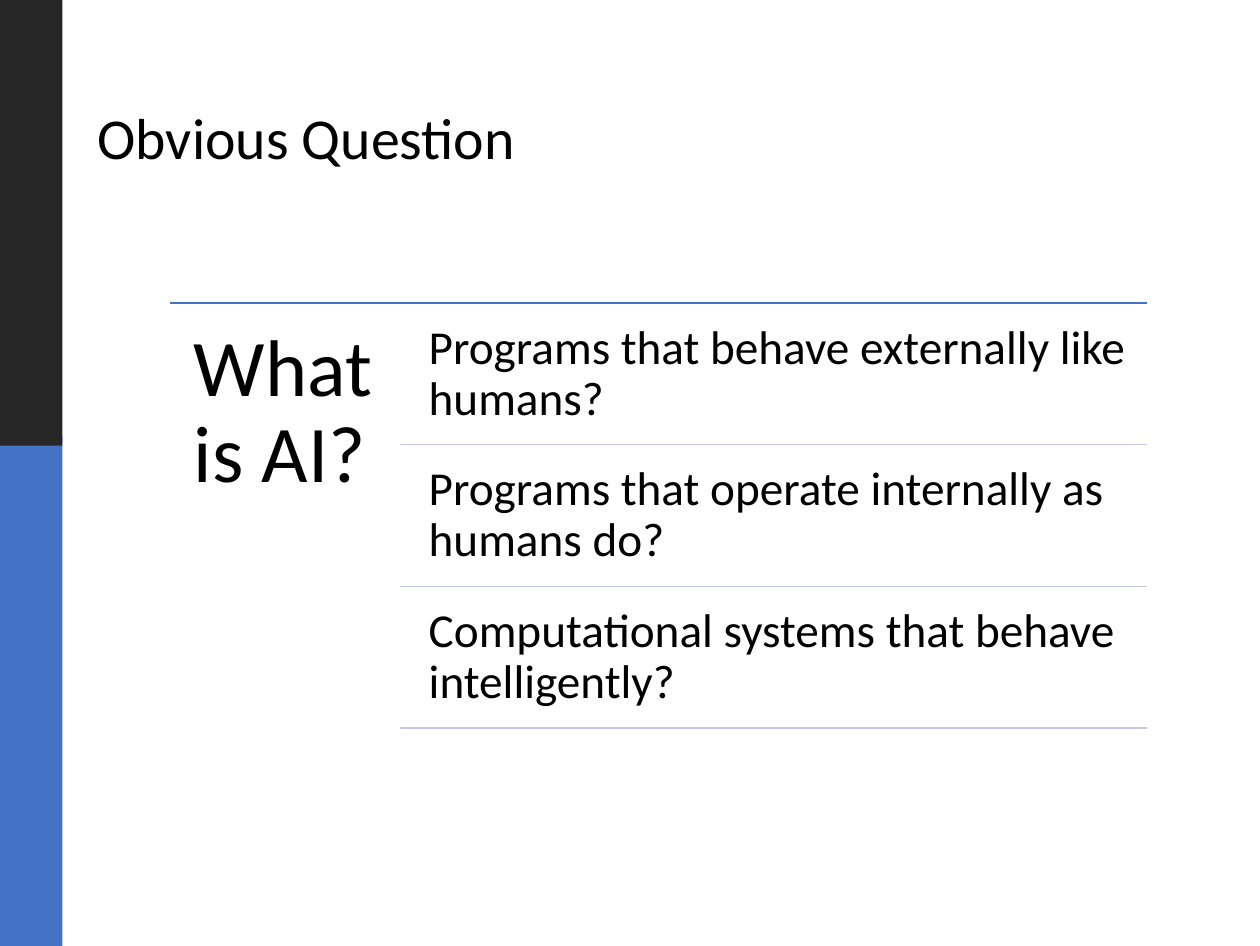
from lxml.etree import SubElement
from pptx import Presentation
from pptx.dml.color import RGBColor
from pptx.enum.shapes import MSO_CONNECTOR, MSO_SHAPE
from pptx.enum.text import MSO_ANCHOR, MSO_AUTO_SIZE, PP_ALIGN
from pptx.oxml.ns import qn
from pptx.util import Inches, Pt

BLUE = RGBColor(0x44, 0x72, 0xC4)
CHARCOAL = RGBColor(0x26, 0x26, 0x26)
PALE_BLUE = RGBColor(0xC1, 0xC9, 0xE4)
BLACK = RGBColor(0, 0, 0)

BAND_WIDTH = 0.55
LIST_LEFT, LIST_RIGHT = 1.5, 10.11
LIST_TOP, LIST_HEIGHT = 2.67, 3.8
ANSWER_LEFT, ANSWER_HEIGHT = 3.66, 1.19
ROW_GAP = 0.06
ROW_PITCH = ANSWER_HEIGHT + ROW_GAP

prs = Presentation()
prs.slide_width, prs.slide_height = Inches(11.11), Inches(8.34)
slide = prs.slides.add_slide(prs.slide_layouts[5])
title = slide.shapes.title


def write(box, left, top, width, height, text, size, inset_x, inset_y, anchor):
    """Place a text-holding shape and fill it with one left-aligned paragraph."""
    box.left, box.top = Inches(left), Inches(top)
    box.width, box.height = Inches(width), Inches(height)
    frame = box.text_frame
    frame.text = text
    frame.word_wrap = True
    frame.auto_size = MSO_AUTO_SIZE.NONE
    frame.vertical_anchor = anchor
    frame.margin_left = frame.margin_right = Inches(inset_x)
    frame.margin_top = frame.margin_bottom = Inches(inset_y)
    paragraph = frame.paragraphs[0]
    paragraph.alignment = PP_ALIGN.LEFT
    paragraph.line_spacing = 0.9
    paragraph.space_before = Pt(0)
    font = paragraph.runs[0].font
    font.name, font.size, font.color.rgb = "Calibri", Pt(size), BLACK


def add_rule(left, y, color):
    rule = slide.shapes.add_connector(
        MSO_CONNECTOR.STRAIGHT, Inches(left), Inches(y), Inches(LIST_RIGHT), Inches(y))
    rule.line.color.rgb = color
    rule.line.width = Pt(1)
    SubElement(rule._element.spPr, qn("a:effectLst"))


for top, height, color in [(3.85, 4.49, BLUE), (0, 3.93, CHARCOAL)]:
    band = slide.shapes.add_shape(
        MSO_SHAPE.RECTANGLE, 0, Inches(top), Inches(BAND_WIDTH), Inches(height))
    band.shadow.inherit = False
    band.fill.solid()
    band.fill.fore_color.rgb = color
    band.line.fill.background()

write(title, 0.76, 0.44, 9.58, 1.61, "Obvious Question", 36.7, 0.1, 0.05, MSO_ANCHOR.MIDDLE)

add_rule(LIST_LEFT, LIST_TOP, BLUE)
question = slide.shapes.add_textbox(0, 0, 0, 0)
write(question, LIST_LEFT, LIST_TOP, 2.03, LIST_HEIGHT, "What is AI?", 51,
      0.21, 0.21, MSO_ANCHOR.TOP)

answers = [
    "Programs that behave externally like humans?",
    "Programs that operate internally as humans do?",
    "Computational systems that behave intelligently?",
]
for row, answer_text in enumerate(answers):
    row_top = LIST_TOP + ROW_GAP + row * ROW_PITCH
    answer = slide.shapes.add_textbox(0, 0, 0, 0)
    write(answer, ANSWER_LEFT, row_top, LIST_RIGHT - ANSWER_LEFT, ANSWER_HEIGHT,
          answer_text, 30, 0.12, 0.12, MSO_ANCHOR.TOP)
    add_rule(3.53, row_top + ANSWER_HEIGHT, PALE_BLUE)

prs.save("out.pptx")
